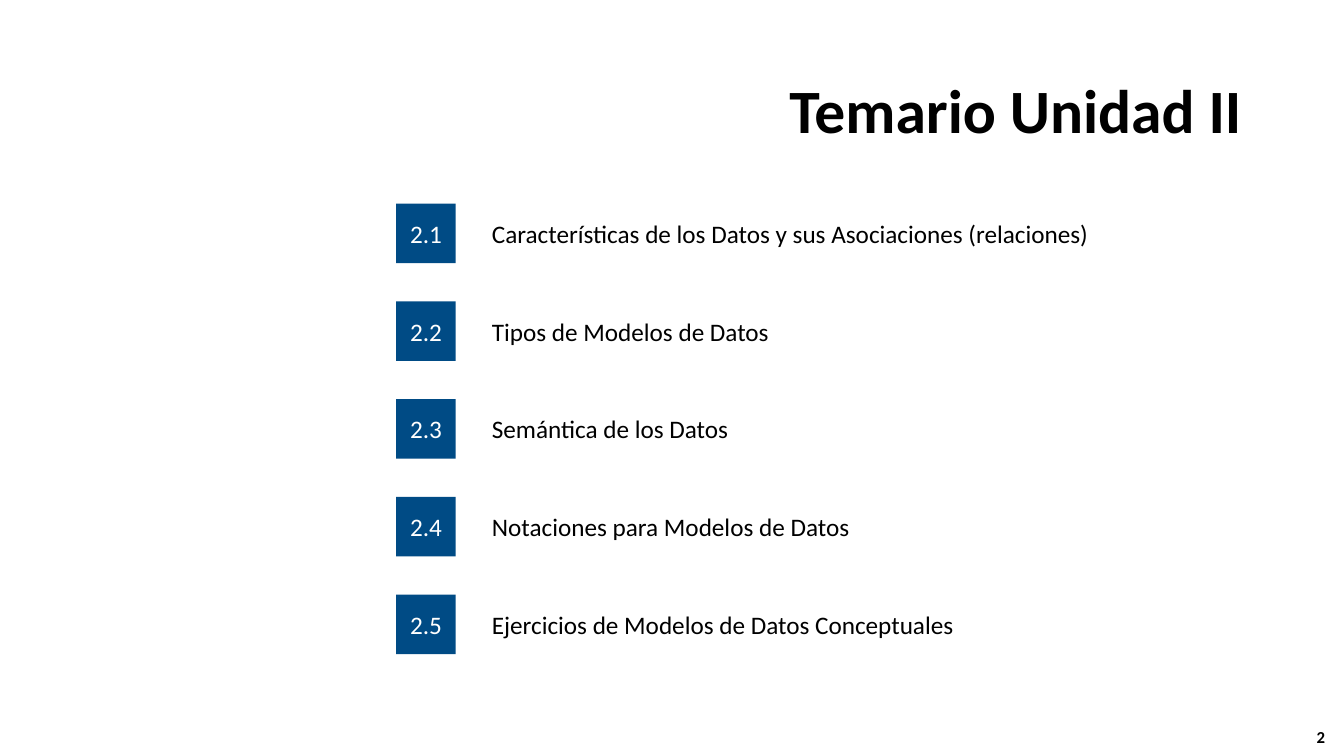
from pptx import Presentation
from pptx.dml.color import RGBColor
from pptx.enum.shapes import MSO_SHAPE
from pptx.enum.text import MSO_ANCHOR, PP_ALIGN
from pptx.util import Inches, Pt

BLUE = RGBColor(0x00, 0x4B, 0x85)
BLACK = RGBColor(0x00, 0x00, 0x00)
WHITE = RGBColor(0xFF, 0xFF, 0xFF)
FONT = "Calibri"
TOPICS = [
    "Características de los Datos y sus Asociaciones (relaciones)",
    "Tipos de Modelos de Datos",
    "Semántica de los Datos",
    "Notaciones para Modelos de Datos",
    "Ejercicios de Modelos de Datos Conceptuales",
]


def write(sp, text, size, color=BLACK, bold=False, align=PP_ALIGN.LEFT):
    """Write one vertically centred paragraph in a shape and return it."""
    tf = sp.text_frame
    tf.word_wrap = True
    tf.vertical_anchor = MSO_ANCHOR.MIDDLE
    p = tf.paragraphs[0]
    p.alignment = align
    r = p.add_run()
    r.text = text
    r.font.name = FONT
    r.font.size = Pt(size)
    r.font.bold = bold
    r.font.color.rgb = color
    return p


def add_title(shapes, left, top, width, height):
    """Place the right-aligned slide title."""
    sp = shapes.add_textbox(Inches(left), Inches(top), Inches(width), Inches(height))
    p = write(sp, "Temario Unidad II", 44, bold=True, align=PP_ALIGN.RIGHT)
    p.line_spacing = 0.9


def add_topic(shapes, left, top, width, side, number, topic):
    """Place a grouped row: a numbered square followed by its topic."""
    row = shapes.add_group_shape().shapes
    sp = row.add_shape(MSO_SHAPE.RECTANGLE, Inches(left), Inches(top), Inches(side), Inches(side))
    sp.shadow.inherit = False
    sp.fill.solid()
    sp.fill.fore_color.rgb = BLUE
    sp.line.fill.background()
    write(sp, number, 18, WHITE, align=PP_ALIGN.CENTER)
    indent = 0.85
    sp = row.add_textbox(Inches(left + indent), Inches(top), Inches(width - indent), Inches(side))
    write(sp, topic, 18)


def add_agenda(shapes, left, top, width, height):
    """Spread the topic rows evenly over the given box."""
    side = 0.59
    pitch = (height - side) / (len(TOPICS) - 1)
    for i, topic in enumerate(TOPICS):
        add_topic(shapes, left, top + i * pitch, width, side, f"2.{i + 1}", topic)


def add_page_number(shapes, left, top, width, height):
    """Place the page number in the corner."""
    sp = shapes.add_textbox(Inches(left), Inches(top), Inches(width), Inches(height))
    write(sp, "2", 12, bold=True, align=PP_ALIGN.CENTER)


def main():
    """Build and save the agenda slide."""
    prs = Presentation()
    prs.slide_width = Inches(13.33)
    prs.slide_height = Inches(7.5)
    s = prs.slides.add_slide(prs.slide_layouts[6])
    add_title(s.shapes, 0.92, 0.4, 11.5, 1.45)
    add_agenda(s.shapes, 3.93, 2.02, 7.8, 4.47)
    add_page_number(s.shapes, 12.87, 7.11, 0.46, 0.4)
    prs.save("out.pptx")


if __name__ == "__main__":
    main()
